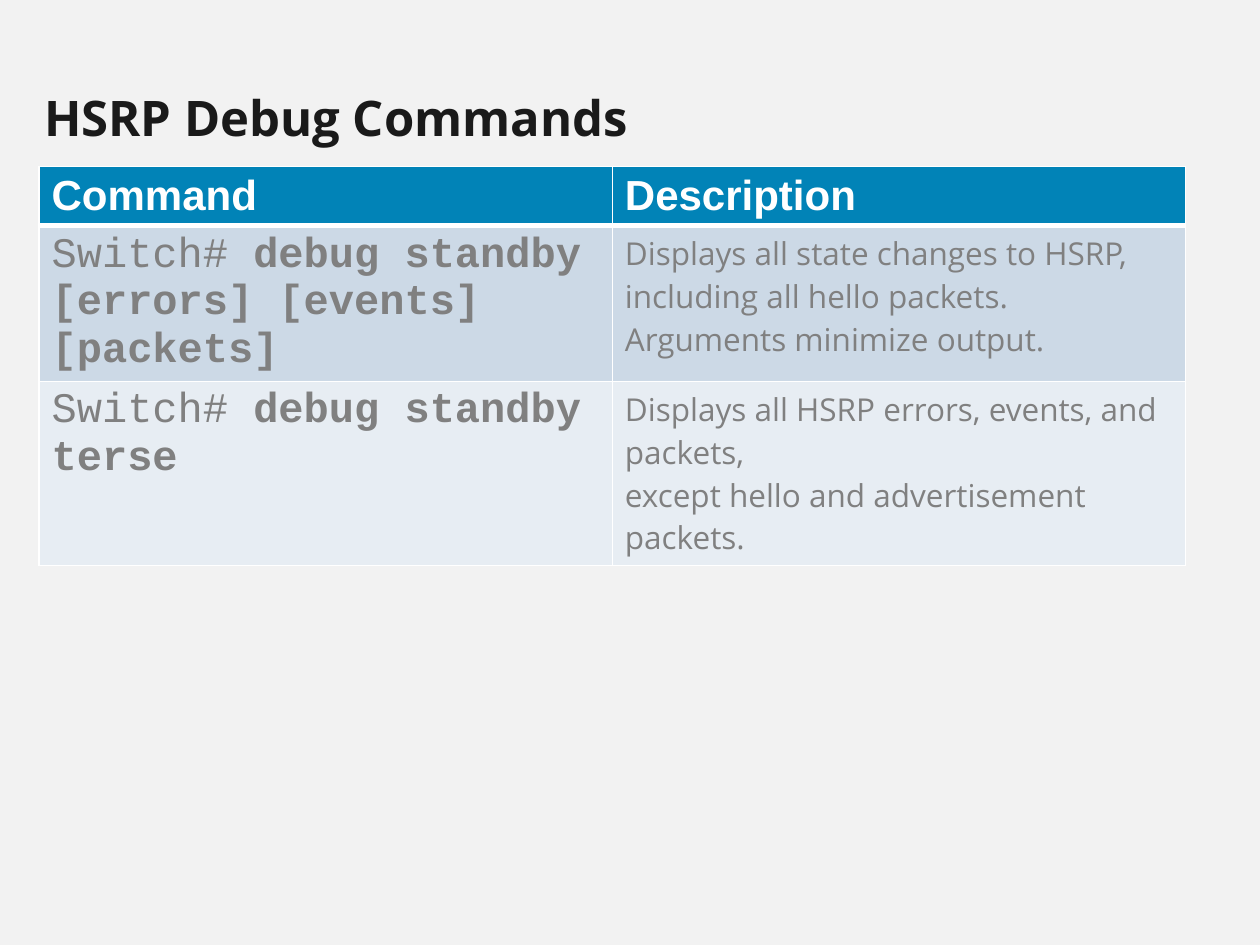
"""Build the slide that lists the HSRP debug commands."""
import dataclasses

import lxml.etree
import pptx
import pptx.dml.color
import pptx.enum.text
import pptx.oxml.ns
import pptx.presentation
import pptx.slide
import pptx.table
import pptx.util

WIDE, HIGH = 10, 7.5
LEFT = 0.031
COL = 4.55
ROW = 0.41
WHITE = "FFFFFF"
HEAD = dict(name="Arial", size=24, color=WHITE, bold=True)
CODE = dict(name="Courier New", size=24, color="808080", bold=False)
BODY = dict(name="Open Sans", size=18, color="808080", bold=False)
TITLE = dict(name="Open Sans", size=28, color="1A1A1A", bold=True)


@dataclasses.dataclass
class Run:
    """A stretch of text in one format."""
    text: str
    form: dict


@dataclasses.dataclass
class Line:
    """A table row: its fill, lower border width and cells of paragraphs of runs."""
    fill: str
    edge: float
    cells: list[list[list[Run]]]


def code(words: str) -> list[list[Run]]:
    """Return a command cell with a plain prompt and bold words."""
    return [[Run("Switch# ", CODE), Run(words, CODE | dict(bold=True))]]


def plain(form: dict, *texts: str) -> list[list[Run]]:
    """Return a cell with one run for each paragraph."""
    return [[Run(text, form)] for text in texts]


LINES = [
    Line("0183B7", 3, [plain(HEAD, "Command"), plain(HEAD, "Description")]),
    Line("CCD9E6", 1, [
        code("debug standby [errors] [events] [packets]"),
        plain(BODY, "Displays all state changes to HSRP, including all hello "
                    "packets. Arguments minimize output."),
    ]),
    Line("E7EDF3", 1, [
        code("debug standby terse"),
        plain(BODY, "Displays all HSRP errors, events, and packets,",
              "except hello and advertisement packets."),
    ]),
]


def tint(hue: str) -> pptx.dml.color.RGBColor:
    """Turn a hex string into a colour."""
    return pptx.dml.color.RGBColor.from_string(hue)


def write(frame, paras: list[list[Run]], gap: float) -> None:
    """Fill a text frame with left-aligned paragraphs."""
    for num, runs in enumerate(paras):
        para = frame.add_paragraph() if num else frame.paragraphs[0]
        para.alignment = pptx.enum.text.PP_ALIGN.LEFT
        para.line_spacing = gap
        for item in runs:
            run = para.add_run()
            run.text = item.text
            for key, val in item.form.items():
                if key == "color":
                    run.font.color.rgb = tint(val)
                else:
                    setattr(run.font, key, pptx.util.Pt(val) if key == "size" else val)


def border(cell: pptx.table._Cell, top: float, base: float) -> None:
    """Draw white lines on the four sides of a cell."""
    props = cell._tc.get_or_add_tcPr()
    name = pptx.oxml.ns.qn
    for spot, (tag, size) in enumerate(dict(lnL=1, lnR=1, lnT=top, lnB=base).items()):
        line = lxml.etree.Element(name(f"a:{tag}"), w=str(pptx.util.Pt(size)))
        fill = lxml.etree.SubElement(line, name("a:solidFill"))
        lxml.etree.SubElement(fill, name("a:srgbClr"), val=WHITE)
        props.insert(spot, line)


def head(slide: pptx.slide.Slide) -> None:
    """Place and format the title."""
    title = slide.shapes.title
    place = dict(left=LEFT * WIDE, top=0.4, width=0.932 * WIDE, height=0.108 * HIGH)
    for key, val in place.items():
        setattr(title, key, pptx.util.Inches(val))
    frame = title.text_frame
    pads = dict(margin_left=0.04, margin_top=0.04, margin_right=0.09, margin_bottom=0.04)
    for key, val in pads.items():
        setattr(frame, key, pptx.util.Inches(val))
    frame.word_wrap = True
    frame.auto_size = pptx.enum.text.MSO_AUTO_SIZE.NONE
    frame.vertical_anchor = pptx.enum.text.MSO_ANCHOR.BOTTOM
    write(frame, plain(TITLE, "HSRP Debug Commands"), 0.9)


def grid(slide: pptx.slide.Slide, lines: list[Line]) -> None:
    """Draw the command table, whose rows grow with their text."""
    cols = len(lines[0].cells)
    spot = [LEFT * WIDE, 0.176 * HIGH, cols * COL, len(lines) * ROW]
    table = slide.shapes.add_table(len(lines), cols, *map(pptx.util.Inches, spot)).table
    top = 1
    for row, line in enumerate(lines):
        for col, paras in enumerate(line.cells):
            cell = table.cell(row, col)
            cell.fill.solid()
            cell.fill.fore_color.rgb = tint(line.fill)
            border(cell, top, line.edge)
            write(cell.text_frame, paras, 1.0)
        top = line.edge


def main() -> None:
    """Build and save the deck."""
    deck = pptx.Presentation()
    deck.slide_width = pptx.util.Inches(WIDE)
    deck.slide_height = pptx.util.Inches(HIGH)
    slide = deck.slides.add_slide(deck.slide_layouts[5])
    slide.background.fill.solid()
    slide.background.fill.fore_color.rgb = tint("F2F2F2")
    head(slide)
    grid(slide, LINES)
    deck.save("out.pptx")


if __name__ == "__main__":
    main()
